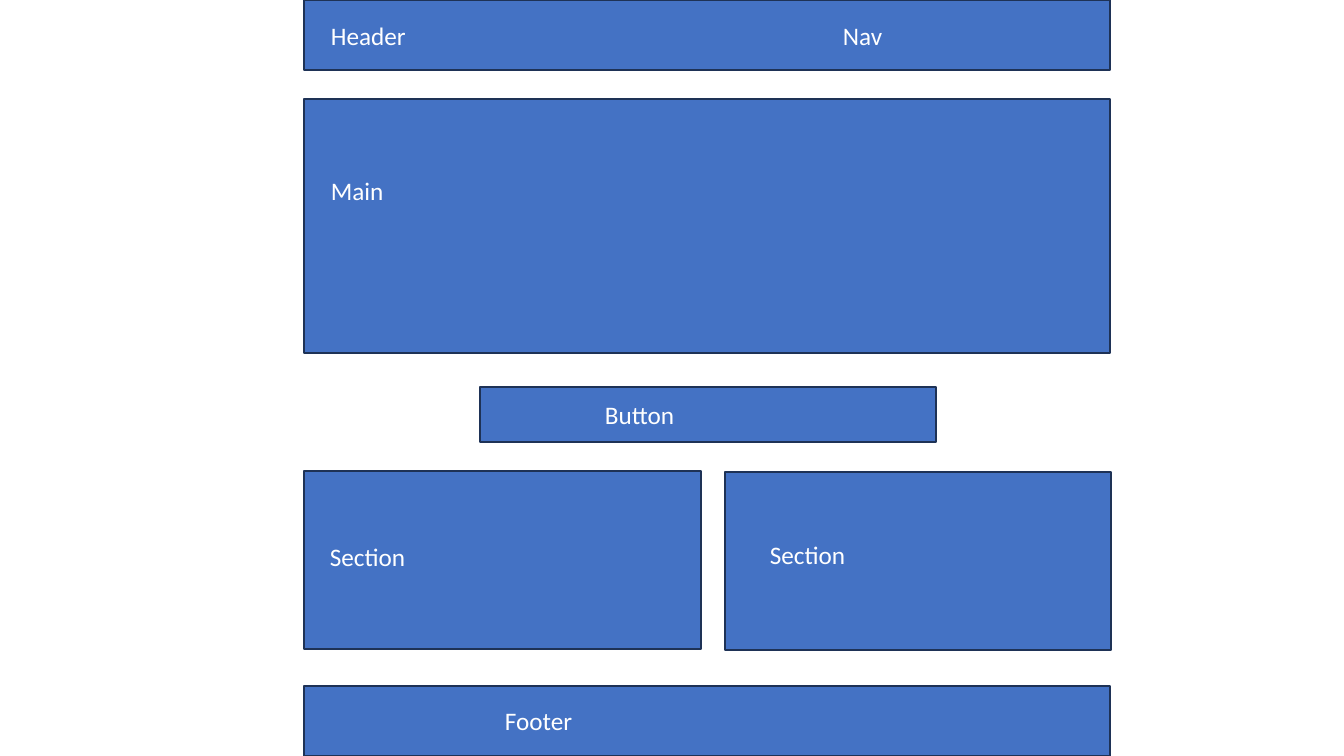
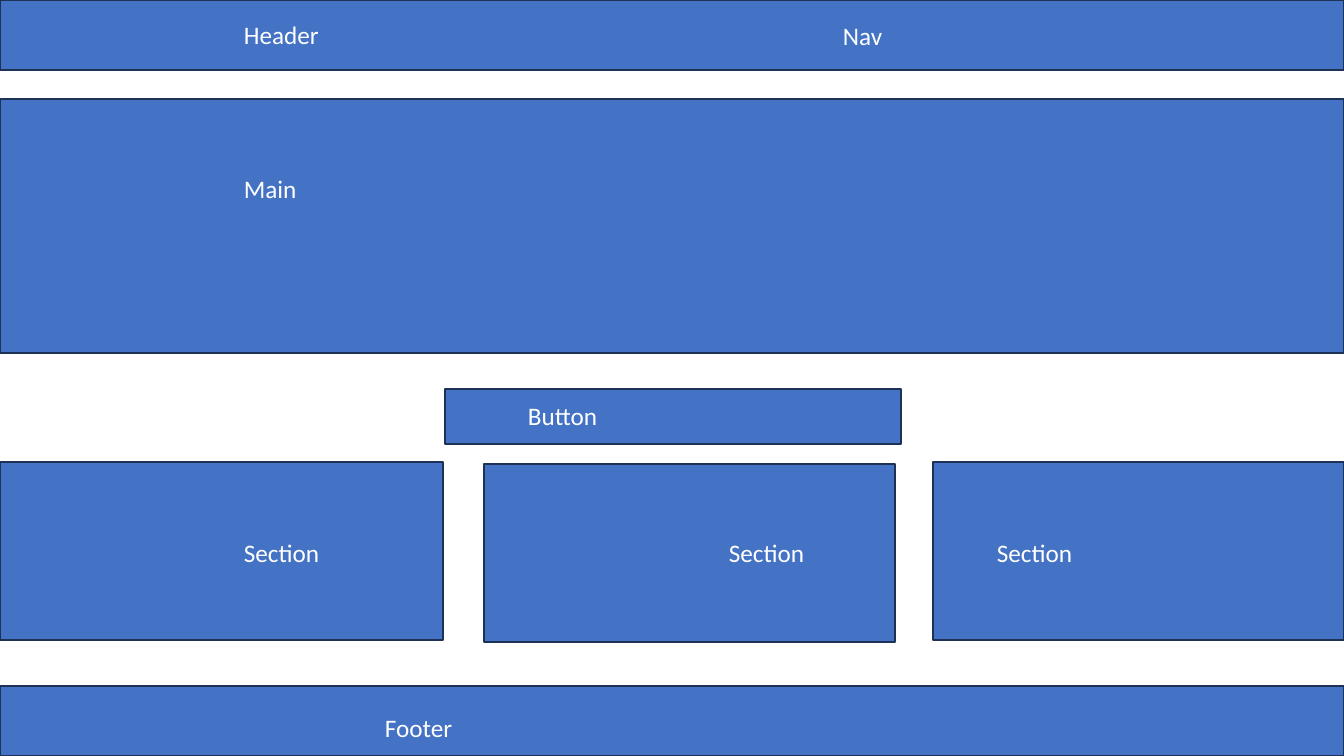
import pptx
import pptx.util
import pptx.dml.color
import pptx.enum.shapes
import pptx.enum.text

WIDE, HIGH = 1344, 756
SCALE = 914400 / 100.8
THEME = {
    "fill": "4472C4",
    "edge": "1E3256",
    "ink": "FFFFFF",
    "font": "Calibri",
    "size": 18,
    "line": 1,
}
BANDS = [(0, 70), (99, 254), (686, 70)]
BUTTON = (456, 55)
TALL = 178
LABEL = (247, 40)

PAGES = [
    {
        "span": (304, 806),
        "button": (480, 387),
        "cards": [(304, 471, 397), (725, 472, 386)],
        "labels": [
            ("Header", 321, 15), ("Nav", 833, 15), ("Main", 321, 170),
            ("Button", 595, 394), ("Section", 320, 536),
            ("Section", 760, 534), ("Footer", 495, 700),
        ],
    },
    {
        "span": (0, WIDE),
        "button": (445, 389),
        "cards": [(0, 462, 443), (484, 464, 411), (933, 462, 411)],
        "labels": [
            ("Header", 234, 14), ("Nav", 833, 15), ("Main", 234, 168),
            ("Button", 518, 395), ("Section", 234, 532),
            ("Section", 719, 532), ("Section", 987, 532),
            ("Footer", 375, 707),
        ],
    },
]


def emu(*sizes):
    return [round(size * SCALE) for size in sizes]


def color(name):
    return pptx.dml.color.RGBColor.from_string(THEME[name])


def apply(item, style):
    for name, value in style.items():
        setattr(item, name, value)


def block(slide, *box):
    rect = pptx.enum.shapes.MSO_SHAPE.RECTANGLE
    shape = slide.shapes.add_shape(rect, *emu(*box))
    shape.shadow.inherit = False
    shape.fill.solid()
    shape.fill.fore_color.rgb = color("fill")
    shape.line.color.rgb = color("edge")
    shape.line.width = pptx.util.Pt(THEME["line"])


def label(slide, text, left, top):
    frame = slide.shapes.add_textbox(*emu(left, top, *LABEL)).text_frame
    fit = pptx.enum.text.MSO_AUTO_SIZE.SHAPE_TO_FIT_TEXT
    apply(frame, {"word_wrap": True, "auto_size": fit})
    run = frame.paragraphs[0].add_run()
    run.text = text
    size = pptx.util.Pt(THEME["size"])
    apply(run.font, {"name": THEME["font"], "size": size})
    run.font.color.rgb = color("ink")


def build(deck, page):
    slide = deck.slides.add_slide(deck.slide_layouts[6])
    left, width = page["span"]
    for top, height in BANDS:
        block(slide, left, top, width, height)
    block(slide, *page["button"], *BUTTON)
    for card in page["cards"]:
        block(slide, *card, TALL)
    for item in page["labels"]:
        label(slide, *item)


deck = pptx.Presentation()
deck.slide_width, deck.slide_height = emu(WIDE, HIGH)
for page in PAGES:
    build(deck, page)
deck.save("out.pptx")
